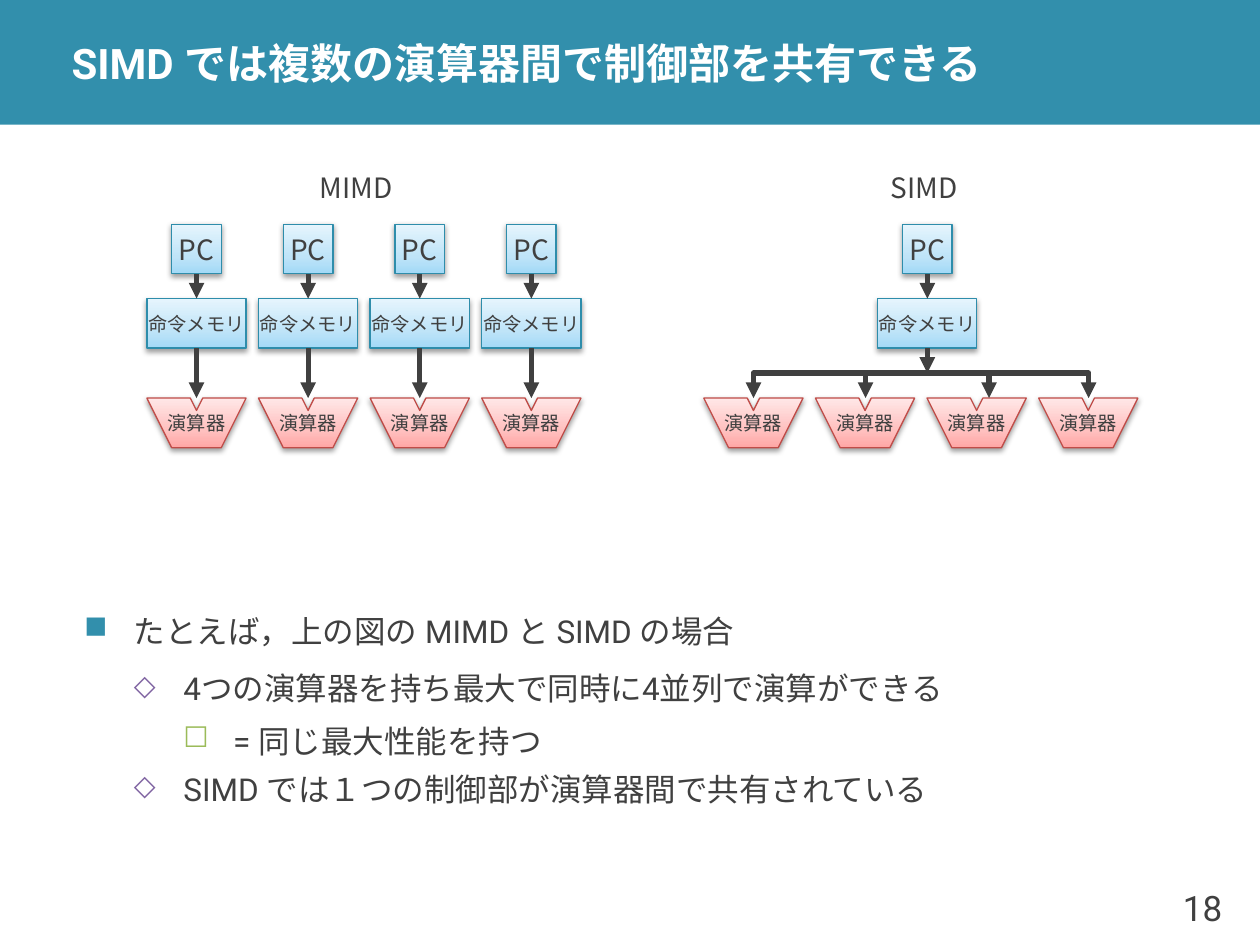
import dataclasses
import typing

import pptx
import pptx.dml.color
import pptx.enum.shapes
import pptx.enum.text
import pptx.oxml
import pptx.oxml.ns
import pptx.util

Inches = pptx.util.Inches
Point = tuple[float, float]
ALIGN = pptx.enum.text.PP_ALIGN

COLORS = {
    "banner": "328FAC", "white": "FFFFFF", "text": "404040",
    "diamond": "8064A2", "square": "9BBB59",
}
LATIN_FONT = "Roboto"
DIAGRAM_FONT = "Noto Sans CJK JP"

# Diagram grid: half-centimetre cells
CELL = 0.5 / 2.54
BOX_HEIGHT = 2 * CELL
WIDE = 4 * CELL
LANE_PITCH = 4.5 * CELL
LANES = 4
MIMD_LEFT, SIMD_LEFT = 1.56, 5.98
SIMD_CENTER = 7.36
PC_TOP, MEMORY_TOP, BUS_Y, UNIT_TOP = 1.78, 2.37, 2.96, 3.16


@dataclasses.dataclass(frozen=True)
class BlockStyle:
    line: str
    stops: tuple[tuple[int, str], ...]


CONTROL = BlockStyle("2E8DAB", ((0, "A2D9F7"), (35, "BFE4F8"), (100, "E6F5FD")))
ARITHMETIC = BlockStyle("BF4C48", ((0, "FFA6A5"), (35, "FFC0BF"), (100, "FFE7E7")))


@dataclasses.dataclass(frozen=True)
class Bullet:
    text: str
    level: int
    mark: str
    color: str
    size: int
    before: int
    after: int


BULLETS = (
    Bullet("たとえば，上の図の MIMD と SIMD の場合", 0, "■", "banner", 100, 0, 6),
    Bullet("4つの演算器を持ち最大で同時に4並列で演算ができる", 1, "◇", "diamond", 90, 3, 3),
    Bullet("= 同じ最大性能を持つ", 2, "☐", "square", 90, 3, 1),
    Bullet("SIMD では１つの制御部が演算器間で共有されている", 1, "◇", "diamond", 90, 3, 3),
)


def rgb(value: str) -> pptx.dml.color.RGBColor:
    return pptx.dml.color.RGBColor.from_string(value)


def xml(tag: str, attributes: str = "", inner: str = "") -> typing.Any:
    namespace = pptx.oxml.ns.nsdecls("a")
    return pptx.oxml.parse_xml(f"<a:{tag} {namespace} {attributes}>{inner}</a:{tag}>")


def format_runs(paragraph, size: float, font: str, color: str, bold: bool = False) -> None:
    for run in paragraph.runs:
        run.font.size = pptx.util.Pt(size)
        run.font.name = font
        run.font.bold = bold
        run.font.color.rgb = rgb(color)
        run._r.get_or_add_rPr().find(pptx.oxml.ns.qn("a:latin")).addnext(
            xml("ea", f'typeface="{font}"'))


def set_text(shape, text: str, size: float, font: str, color: str = COLORS["text"],
             align=ALIGN.LEFT, wrap: bool = False, bold: bool = False) -> None:
    frame = shape.text_frame
    frame.text = text
    frame.word_wrap = wrap
    frame.vertical_anchor = pptx.enum.text.MSO_ANCHOR.MIDDLE
    frame.paragraphs[0].alignment = align
    format_runs(frame.paragraphs[0], size, font, color, bold)


def add_text_box(slide, left: float, top: float, width: float, height: float):
    return slide.shapes.add_textbox(Inches(left), Inches(top), Inches(width), Inches(height))


def add_rectangle(slide, left: float, top: float, width: float, height: float):
    shape = slide.shapes.add_shape(
        pptx.enum.shapes.MSO_SHAPE.RECTANGLE,
        Inches(left), Inches(top), Inches(width), Inches(height))
    shape.shadow.inherit = False
    return shape


def add_path(slide, points: typing.Sequence[Point], close: bool):
    start, *rest = [(Inches(x), Inches(y)) for x, y in points]
    builder = slide.shapes.build_freeform(*start)
    builder.add_line_segments(rest, close=close)
    shape = builder.convert_to_shape()
    shape.shadow.inherit = False
    return shape


def style_block(shape, style: BlockStyle, label: str, size: float) -> None:
    """Gradient fill, thin outline, soft shadow and centred label."""
    shape.fill.gradient()
    shape.fill.gradient_angle = 90
    properties = shape._element.spPr
    stops = properties.find(".//" + pptx.oxml.ns.qn("a:gsLst"))
    for stop in list(stops):
        stops.remove(stop)
    for position, color in style.stops:
        stops.append(xml("gs", f'pos="{position * 1000}"', f'<a:srgbClr val="{color}"/>'))
    shape.line.color.rgb = rgb(style.line)
    shape.line.width = pptx.util.Pt(0.75)
    properties.find(pptx.oxml.ns.qn("a:effectLst")).append(xml(
        "outerShdw", 'blurRad="40000" dist="20000" dir="5400000" rotWithShape="0"',
        '<a:srgbClr val="000000"><a:alpha val="38000"/></a:srgbClr>'))
    set_text(shape, label, size, DIAGRAM_FONT, align=ALIGN.CENTER)


def style_arrow(shape) -> None:
    shape.line.color.rgb = rgb(COLORS["text"])
    shape.line.width = pptx.util.Pt(3)
    shape.line._get_or_add_ln().append(xml("tailEnd", 'type="triangle"'))


def add_arrow(slide, center: float, source, end_y: float, target=None) -> None:
    """Vertical arrow from the bottom of a box, joined to a target box if given."""
    connector = slide.shapes.add_connector(
        pptx.enum.shapes.MSO_CONNECTOR.STRAIGHT,
        Inches(center), source.top + source.height, Inches(center), Inches(end_y))
    connector.begin_connect(source, 2)
    if target is not None:
        connector.end_connect(target, 0)
    style_arrow(connector)
    connector._element.spPr.append(xml("effectLst"))


def add_control(slide, center: float, end_y: float) -> None:
    """Program counter and instruction memory, with an arrow leaving the memory."""
    memory = add_rectangle(slide, center - WIDE / 2, MEMORY_TOP, WIDE, BOX_HEIGHT)
    style_block(memory, CONTROL, "命令メモリ", 11)
    counter = add_rectangle(slide, center - CELL, PC_TOP, BOX_HEIGHT, BOX_HEIGHT)
    style_block(counter, CONTROL, "PC", 16)
    add_arrow(slide, center, counter, MEMORY_TOP, memory)
    add_arrow(slide, center, memory, end_y)


def add_unit(slide, center: float) -> None:
    """Notched trapezoid of an arithmetic unit."""
    bottom, notch = UNIT_TOP + BOX_HEIGHT, CELL / 4
    outline = [(-WIDE / 2, UNIT_TOP), (-CELL, bottom), (CELL, bottom), (WIDE / 2, UNIT_TOP),
               (notch, UNIT_TOP), (0, UNIT_TOP + CELL / 2), (-notch, UNIT_TOP)]
    shape = add_path(slide, [(center + x, y) for x, y in outline], close=True)
    style_block(shape, ARITHMETIC, "演算器", 11)


def add_bullets(slide) -> None:
    frame = add_text_box(slide, 0.57, 3.85, 9.06, 3.54).text_frame
    frame.word_wrap = True
    frame.vertical_anchor = pptx.enum.text.MSO_ANCHOR.MIDDLE
    for index, bullet in enumerate(BULLETS):
        paragraph = frame.add_paragraph() if index else frame.paragraphs[0]
        paragraph.text = bullet.text
        paragraph.level = bullet.level
        properties = paragraph._p.get_or_add_pPr()
        properties.set("marL", str(Inches(2 * CELL * (bullet.level + 1))))
        properties.set("indent", str(-Inches(2 * CELL)))
        properties.append(xml("buClr", "", f'<a:srgbClr val="{COLORS[bullet.color]}"/>'))
        properties.append(xml("buSzPct", f'val="{bullet.size * 1000}"'))
        properties.append(xml("buChar", f'char="{bullet.mark}"'))
        paragraph.line_spacing = 1.1
        paragraph.space_before = pptx.util.Pt(bullet.before)
        paragraph.space_after = pptx.util.Pt(bullet.after)
        format_runs(paragraph, 18, LATIN_FONT, COLORS["text"])


def main() -> None:
    presentation = pptx.Presentation()
    presentation.slide_width, presentation.slide_height = Inches(10), Inches(7.5)
    slide = presentation.slides.add_slide(presentation.slide_layouts[6])

    # Banner, title and page number
    banner = add_rectangle(slide, 0, 0, 10, 0.99)
    banner.fill.solid()
    banner.fill.fore_color.rgb = rgb(COLORS["banner"])
    banner.line.fill.background()
    title = add_text_box(slide, 0.47, 0, 9.53, 0.99)
    title.text_frame.margin_top = title.text_frame.margin_bottom = 0
    set_text(title, "SIMD では複数の演算器間で制御部を共有できる", 24, LATIN_FONT,
             COLORS["white"], wrap=True, bold=True)
    set_text(add_text_box(slide, 9.13, 6.9, 0.67, 0.6), "18", 20, LATIN_FONT,
             align=ALIGN.RIGHT, wrap=True)

    add_bullets(slide)

    # MIMD: one control part per arithmetic unit
    for lane in range(LANES):
        center = MIMD_LEFT + lane * LANE_PITCH
        add_unit(slide, center)
        add_control(slide, center, UNIT_TOP)

    # SIMD: one control part shared over a bus
    add_control(slide, SIMD_CENTER, BUS_Y)
    for lane in range(LANES):
        add_unit(slide, SIMD_LEFT + lane * LANE_PITCH)
    for start, end in ((7.17, 5.98), (7.17, 6.87), (7.17, 7.85), (7.66, 8.64)):
        branch = add_path(slide, [(start, BUS_Y), (end, BUS_Y), (end, UNIT_TOP)], close=False)
        branch.fill.background()
        style_arrow(branch)

    # Diagram headings, in boxes wide enough for one line
    for left, heading in ((2.44, "MIMD"), (6.97, "SIMD")):
        set_text(add_text_box(slide, left, 1.29, 0.9, 0.39), heading, 16, DIAGRAM_FONT,
                 wrap=True)

    presentation.save("out.pptx")


if __name__ == "__main__":
    main()
